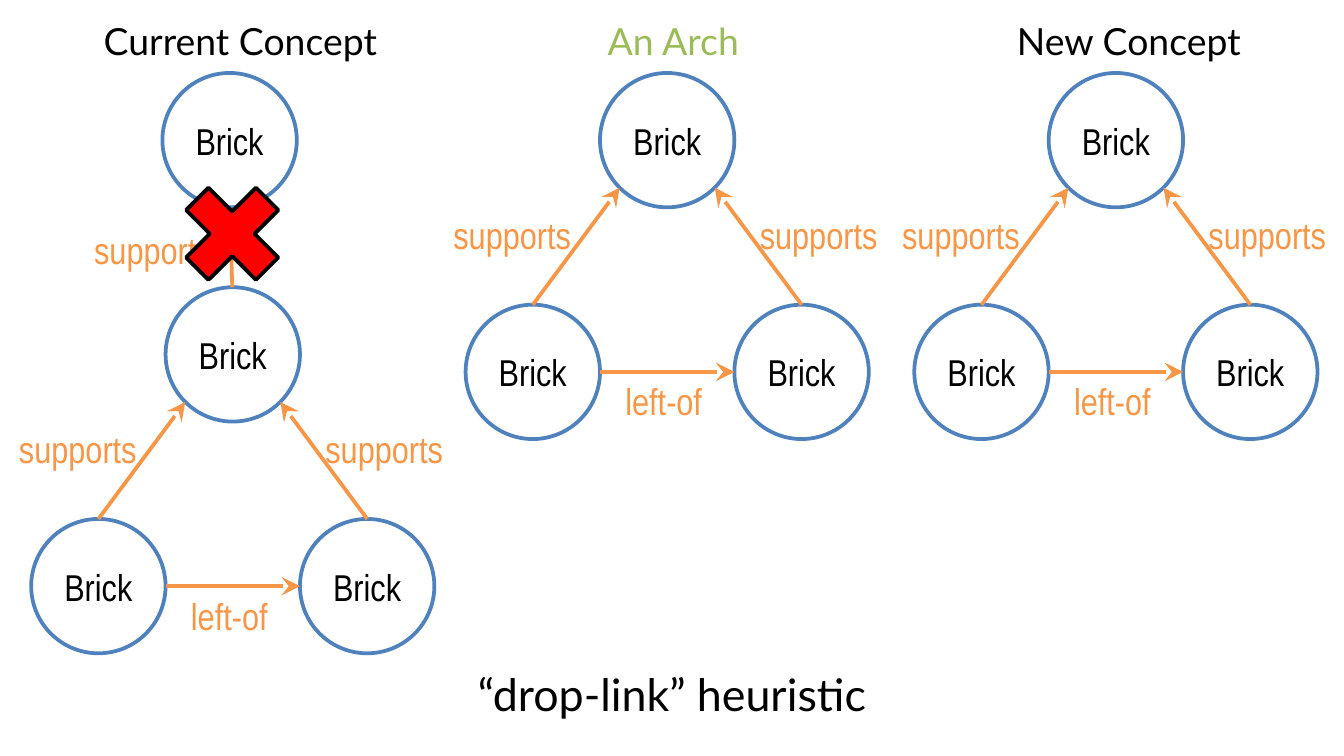
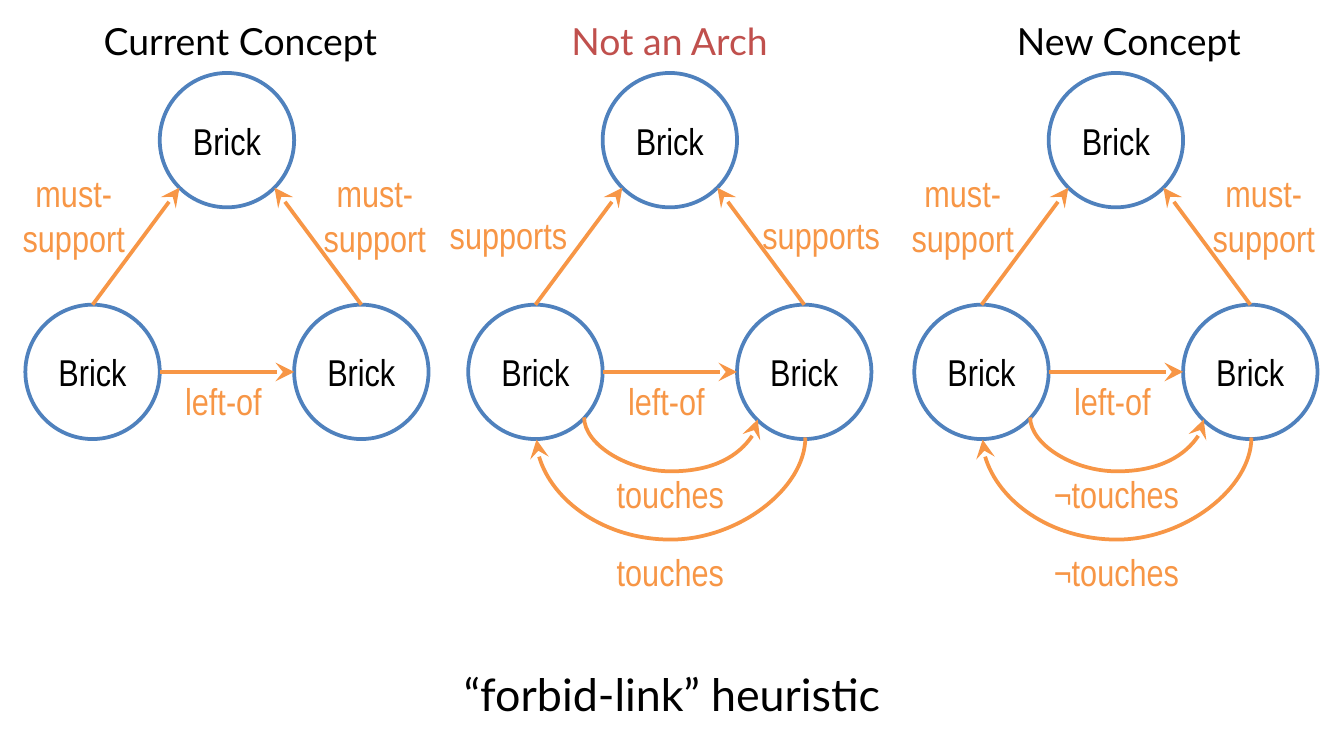
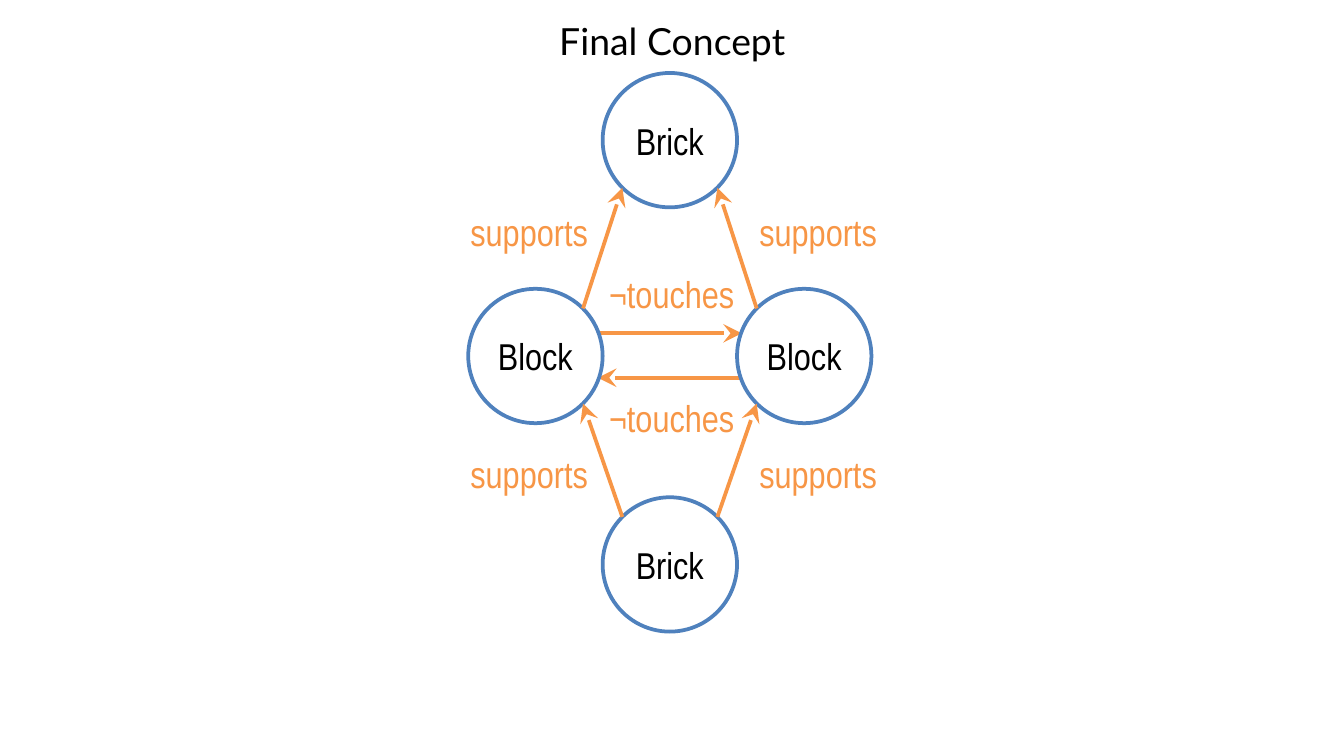
from math import cos, radians, sin

from pptx import Presentation
from pptx.dml.color import RGBColor
from pptx.enum.shapes import MSO_CONNECTOR as Link, MSO_SHAPE as Preset
from pptx.enum.text import MSO_ANCHOR as Anchor, MSO_AUTO_SIZE as Fit, PP_ALIGN as Align
from pptx.oxml.ns import qn
from pptx.oxml.xmlchemy import OxmlElement
from pptx.util import Cm, Pt

BLACK, WHITE, RED = "000000", "FFFFFF", "FF0000"
BLUE, ORANGE, GREEN, BRICK_RED = "4F81BD", "F79646", "9BBB59", "C0504D"
LABEL_FONT, HEADING_FONT = "Arial Narrow", "Lato"
SLIDE_WIDTH, SLIDE_HEIGHT = 25.4, 14.29
NODE = 2.54
RADIUS = NODE / 2
RISE = 4.38
TOP = 1.38
HEADING_TOP, HEADING_WIDTH, HEADING_HEIGHT = 0.21, 8.13, 1.02
CURVE_GAP = 0.04


def color(value):
    return RGBColor.from_string(value)


def lengths(*values):
    return [Cm(value) for value in values]


def write(frame, text, size, font, tint, align=Align.CENTER):
    frame.text = text
    paragraph = frame.paragraphs[0]
    paragraph.alignment = align
    paragraph.font.size = Pt(size)
    paragraph.font.name = font
    paragraph.font.color.rgb = color(tint)


def clear_margins(frame):
    frame.margin_left = frame.margin_right = frame.margin_top = frame.margin_bottom = 0
    frame.vertical_anchor = Anchor.MIDDLE


def add_title(page, text, left, top, width, height, size):
    title = page.shapes.title
    title.left, title.top, title.width, title.height = lengths(left, top, width, height)
    frame = title.text_frame
    frame.auto_size = Fit.NONE
    frame.vertical_anchor = Anchor.TOP
    write(frame, text, size, HEADING_FONT, BLACK)


def add_caption(page, text):
    add_title(page, text, 0, 12.47, SLIDE_WIDTH, 1.27, 24)


def add_heading(page, text, left, tint=BLACK):
    box = page.shapes.add_textbox(*lengths(left, HEADING_TOP, HEADING_WIDTH, HEADING_HEIGHT))
    box.text_frame.word_wrap = True
    write(box.text_frame, text, 20, HEADING_FONT, tint)


def add_label(page, text, left, top, width=2.67, height=1.02, align=Align.CENTER):
    box = page.shapes.add_textbox(*lengths(left, top, width, height))
    box.text_frame.word_wrap = False
    write(box.text_frame, text, 20, LABEL_FONT, ORANGE, align)
    return box


def add_supports(page, left, top):
    add_label(page, "supports", left, top, 2.77, 1.12, Align.LEFT)


def add_must_support(page, left, top):
    add_label(page, "must-\vsupport", left, top, 2.79, 1.8)


def add_preset(page, preset, left, top, fill, line):
    shape = page.shapes.add_shape(preset, *lengths(left, top, NODE, NODE))
    shape.shadow.inherit = False
    shape.fill.solid()
    shape.fill.fore_color.rgb = color(fill)
    shape.line.color.rgb = color(line)
    shape.line.width = Pt(2)
    return shape


def add_node(page, left, top, text="Brick"):
    frame = add_preset(page, Preset.OVAL, left, top, WHITE, BLUE).text_frame
    clear_margins(frame)
    write(frame, text, 20, LABEL_FONT, BLACK)
    return left + RADIUS, top + RADIUS


def rim(center, degrees):
    x, y = center
    angle = radians(degrees)
    return x + RADIUS * cos(angle), y - RADIUS * sin(angle)


def add_arrow(page, start, end, kind=Link.STRAIGHT):
    arrow = page.shapes.add_connector(kind, *lengths(*start, *end))
    arrow.line.color.rgb = color(ORANGE)
    arrow.line.width = Pt(2)
    head = OxmlElement("a:tailEnd")
    head.set("type", "stealth")
    head.set("w", "lg")
    head.set("len", "lg")
    arrow.line._get_or_add_ln().append(head)
    arrow._element.spPr.append(OxmlElement("a:effectLst"))
    return arrow


def add_sagging_arrow(page, start_x, end_x, y, depth):
    center = (start_x + end_x) / 2
    span = abs(end_x - start_x)
    begin = (center - CURVE_GAP / 2, y - span / 2)
    end = (center + CURVE_GAP / 2, y + span / 2)
    properties = add_arrow(page, begin, end, Link.CURVE)._element.spPr
    frame = properties.find(qn("a:xfrm"))
    rightward = end_x > start_x
    frame.set("rot", str((270 if rightward else 90) * 60000))
    if rightward:
        frame.set("flipH", "1")
    guide = OxmlElement("a:gd")
    guide.set("name", "adj1")
    guide.set("fmla", f"val {round(depth / CURVE_GAP * 100000)}")
    properties.find(qn("a:prstGeom")).get_or_add_avLst().append(guide)


def add_arch(page, left, top=TOP, must=False, left_label=-0.48):
    foot = top + RISE
    lintel = add_node(page, left + NODE, top)
    left_post = add_node(page, left, foot)
    right_post = add_node(page, left + 2 * NODE, foot)
    add_arrow(page, rim(left_post, 90), rim(lintel, 225))
    add_arrow(page, rim(right_post, 90), rim(lintel, 315))
    add_arrow(page, rim(left_post, 0), rim(right_post, 180))
    if must:
        for offset in (left_label, 5.21):
            add_must_support(page, left + offset, top + 1.72)
    else:
        for offset in (left_label, 5.31):
            add_supports(page, left + offset, top + 2.5)
    add_label(page, "left-of", left + 2.41, foot + RADIUS)


def add_touches(page, left, text):
    foot = TOP + RISE
    add_sagging_arrow(page, left + 2.19, left + 5.47, foot + 2.15, 1.02)
    add_sagging_arrow(page, left + 6.37, left + 1.29, foot + 2.53, 1.93)
    for drop in (3.02, 4.5):
        add_label(page, text, left + 2.02, foot + drop, 3.6)


def add_drop_link(page):
    add_caption(page, "“drop-link” heuristic")
    add_heading(page, "Current Concept", 0.48)
    add_heading(page, "An Arch", 8.66, GREEN)
    add_heading(page, "New Concept", 17.27)
    extra = add_node(page, 3.07, TOP)
    add_arch(page, 0.59, 5.43)
    add_arrow(page, (4.39, 5.43), rim(extra, 270))
    add_supports(page, 1.53, 4.17)
    add_preset(page, Preset.MATH_MULTIPLY, 3.12, 3.15, RED, BLACK)
    add_arch(page, 8.8)
    add_arch(page, 17.28)


def add_forbid_link(page):
    add_caption(page, "“forbid-link” heuristic")
    add_heading(page, "Current Concept", 0.48)
    add_heading(page, "Not an Arch", 8.59, BRICK_RED)
    add_heading(page, "New Concept", 17.27)
    add_arch(page, 0.48, must=True)
    add_arch(page, 8.85, left_label=-0.6)
    add_touches(page, 8.85, "touches")
    add_arch(page, 17.28, must=True)
    add_touches(page, 17.28, "¬touches")


def add_final_concept(page):
    add_title(page, "Final Concept", 8.64, HEADING_TOP, HEADING_WIDTH, HEADING_HEIGHT, 20)
    add_arrow(page, (14.02, 7.14), (11.3, 7.14))
    add_arrow(page, (11.3, 6.3), (14.02, 6.3))
    left = 8.85
    upper = add_node(page, left + NODE, TOP)
    left_block = add_node(page, left, 5.46, "Block")
    right_block = add_node(page, left + 2 * NODE, 5.46, "Block")
    lower = add_node(page, left + NODE, 9.4)
    add_arrow(page, rim(lower, 135), rim(left_block, 315))
    add_arrow(page, rim(lower, 45), rim(right_block, 225))
    add_arrow(page, rim(left_block, 45), rim(upper, 225))
    add_arrow(page, rim(right_block, 135), rim(upper, 315))
    for label_left in (8.64, 14.1):
        for label_top in (3.83, 8.41):
            add_supports(page, label_left, label_top)
    for label_top in (5.01, 7.36):
        box = add_label(page, "¬touches", 11.41, label_top, 2.57, 1.07)
        box.text_frame.word_wrap = True
        clear_margins(box.text_frame)


def main():
    deck = Presentation()
    deck.slide_width, deck.slide_height = lengths(SLIDE_WIDTH, SLIDE_HEIGHT)
    for build in (add_drop_link, add_forbid_link, add_final_concept):
        build(deck.slides.add_slide(deck.slide_layouts[5]))
    deck.save("out.pptx")


if __name__ == "__main__":
    main()
